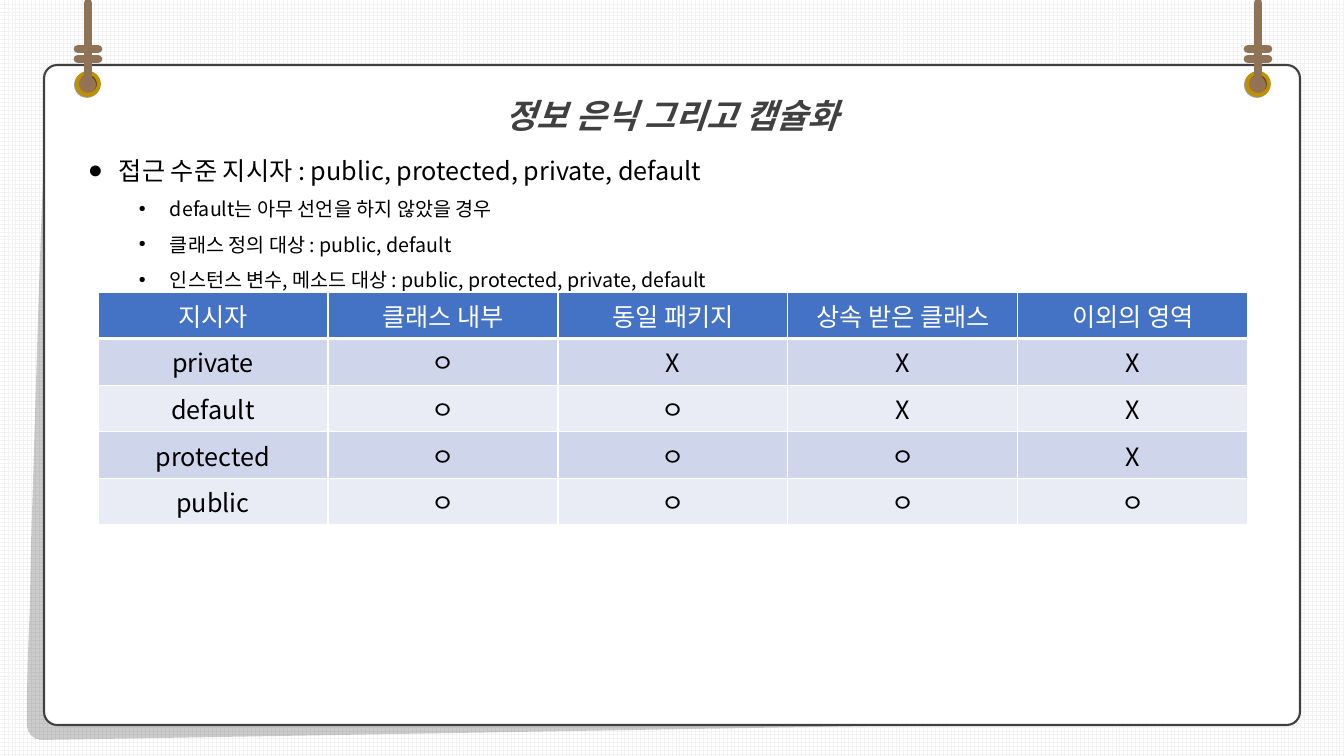
from lxml import etree
from pptx import Presentation
from pptx import util as u
from pptx.dml.color import RGBColor
from pptx.enum import dml, shapes, text
from pptx.oxml.ns import qn

PX = 914400 / 100.8
FONT = "Noto Sans CJK KR"
BULLETS = [
    (0, "접근 수준 지시자 : public, protected, private, default"),
    (1, "default는 아무 선언을 하지 않았을 경우"),
    (1, "클래스 정의 대상 : public, default"),
    (1, "인스턴스 변수, 메소드 대상 : public, protected, private, default"),
]
ACCESS = [
    ["지시자", "클래스 내부", "동일 패키지", "상속 받은 클래스", "이외의 영역"],
    ["private", "ㅇ", "X", "X", "X"],
    ["default", "ㅇ", "ㅇ", "X", "X"],
    ["protected", "ㅇ", "ㅇ", "ㅇ", "X"],
    ["public", "ㅇ", "ㅇ", "ㅇ", "ㅇ"],
]


def px(n):
    return u.Emu(round(n * PX))


def rgb(color):
    return RGBColor.from_string(color)


def sub(parent, tag, **attrs):
    return etree.SubElement(parent, qn(tag), {k: str(v) for k, v in attrs.items()})


def place(sp, x, y, w, h):
    sp.left, sp.top, sp.width, sp.height = px(x), px(y), px(w), px(h)


def paint(sp, fill=None, line=None, width=1):
    sp.shadow.inherit = False
    if fill:
        sp.fill.solid()
        sp.fill.fore_color.rgb = rgb(fill)
    else:
        sp.fill.background()
    if line:
        sp.line.color.rgb = rgb(line)
        sp.line.width = u.Pt(width)
    else:
        sp.line.fill.background()


def style(p, size, color, bold=False, italic=False):
    f = p.font
    f.name, f.size, f.bold, f.italic = FONT, u.Pt(size), bold, italic
    f.color.rgb = rgb(color)
    sub(p._p.pPr.find(qn("a:defRPr")), "a:ea", typeface=FONT)


def frame(sp, inset_x=0, inset_y=0):
    tf = sp.text_frame
    tf.word_wrap = True
    tf.auto_size = text.MSO_AUTO_SIZE.NONE
    tf.vertical_anchor = text.MSO_ANCHOR.TOP
    tf.margin_left = tf.margin_right = px(inset_x)
    tf.margin_top = tf.margin_bottom = px(inset_y)
    return tf


def curve(a, b, c, d, steps=12):
    """Points along a cubic curve, without its start."""
    for i in range(1, steps + 1):
        t = i / steps
        k = 1 - t
        yield tuple(k**3 * m + 3 * k * k * t * n + 3 * k * t * t * o + t**3 * q
                    for m, n, o, q in zip(a, b, c, d))


def card_shadow(s):
    points = [*curve((45, 111), (43, 200), (27, 638), (27, 725)),
              *curve((27, 725), (27, 733), (34, 740), (42, 740)),
              (1285, 719), (234, 463)]
    fb = s.shapes.build_freeform(45, 111, scale=PX)
    fb.add_line_segments(points, close=True)
    sp = fb.convert_to_shape()
    paint(sp, "000000")
    sub(sp.fill._xPr.find(qn("a:solidFill"))[0], "a:alpha", val=20000)


def card(s):
    sp = s.shapes.add_shape(shapes.MSO_SHAPE.ROUNDED_RECTANGLE,
                            px(44), px(65), px(1256), px(660))
    sp.adjustments[0] = 0.02
    paint(sp, "FFFFFF", "404040", 1.5)


def title(s):
    sp = s.shapes.title
    place(sp, 336, 70, 672, 63)
    tf = frame(sp, 10, 5)
    tf.text = "정보 은닉 그리고 캡슐화"
    p = tf.paragraphs[0]
    p.alignment = text.PP_ALIGN.CENTER
    p.line_spacing = 1.5
    style(p, 24, "404040", bold=True, italic=True)


def bullet_list(s):
    sp = s.placeholders[1]
    place(sp, 88, 140, 1200, 152)
    tf = frame(sp)
    tf.text = "\n".join(line for _, line in BULLETS)
    for p, (level, _) in zip(tf.paragraphs, BULLETS):
        p.level = level
        p.line_spacing = 1.5
        p.space_before = u.Pt(0)
        pPr = p._p.get_or_add_pPr()
        pPr.set("marL", str(px((31, 82)[level])))
        pPr.set("indent", str(-px(31)))
        sub(pPr, "a:buFont", typeface="Arial")
        sub(pPr, "a:buChar", char="●•"[level])
        style(p, (18, 14)[level], "000000")


def rope(group, x1, y1, x2, y2):
    c = group.shapes.add_connector(shapes.MSO_CONNECTOR.STRAIGHT,
                                   px(x1), px(y1), px(x2), px(y2))
    c.line.color.rgb = rgb("907256")
    c.line.width = u.Pt(6.25)
    c.line._get_or_add_ln().set("cap", "rnd")
    sub(c._element.spPr, "a:effectLst")


def hanger(s, x):
    group = s.shapes.add_group_shape()
    hole, ring = (group.shapes.add_shape(shapes.MSO_SHAPE.OVAL, px(x), px(73),
                                         px(22), px(22)) for _ in range(2))
    paint(hole, "967353")
    paint(ring, line="BF9000", width=2.75)
    shadow = sub(ring._element.spPr.find(qn("a:effectLst")), "a:outerShdw",
                 dist=u.Pt(1), dir=135 * 60000, algn="tr", rotWithShape=0)
    sub(sub(shadow, "a:srgbClr", val="000000"), "a:alpha", val=40000)
    rope(group, x + 11, 83, x + 11, 3)
    for y in (59, 49):
        rope(group, x + 1, y, x + 21, y)


def borders(cell, row):
    tcPr = cell._tc.get_or_add_tcPr()
    widths = {"a:lnL": 1, "a:lnR": 1, "a:lnT": 3 if row == 1 else 1,
              "a:lnB": 3 if row == 0 else 1}
    for i, (tag, width) in enumerate(widths.items()):
        ln = sub(tcPr, tag, w=u.Pt(width))
        sub(sub(ln, "a:solidFill"), "a:srgbClr", val="FFFFFF")
        tcPr.insert(i, ln)


def access_table(s):
    rows, cols = len(ACCESS), len(ACCESS[0])
    table = s.shapes.add_table(rows, cols, px(98), px(292),
                               px(230 * cols), px(41 * rows)).table
    for i, values in enumerate(ACCESS):
        for j, value in enumerate(values):
            cell = table.cell(i, j)
            cell.text = value
            cell.fill.solid()
            band = "4472C4" if i == 0 else ("E9EBF5", "CFD5EA")[i % 2]
            cell.fill.fore_color.rgb = rgb(band)
            borders(cell, i)
            p = cell.text_frame.paragraphs[0]
            p.alignment = text.PP_ALIGN.CENTER
            style(p, 18, "000000" if i else "FFFFFF")


def main():
    prs = Presentation()
    prs.slide_width, prs.slide_height = px(1344), px(756)
    s = prs.slides.add_slide(prs.slide_layouts[1])

    # Grid paper background
    fill = s.background.fill
    fill.patterned()
    fill.pattern = dml.MSO_PATTERN.LARGE_GRID
    fill.fore_color.rgb, fill.back_color.rgb = rgb("F2F2F2"), rgb("FFFFFF")

    # Card, with the placeholders raised above it
    card_shadow(s)
    card(s)
    for sp in list(s.placeholders):
        s.shapes._spTree.append(sp._element)
    title(s)
    bullet_list(s)

    # Ropes and table
    for x in (77, 1247):
        hanger(s, x)
    access_table(s)
    prs.save("out.pptx")


if __name__ == "__main__":
    main()
